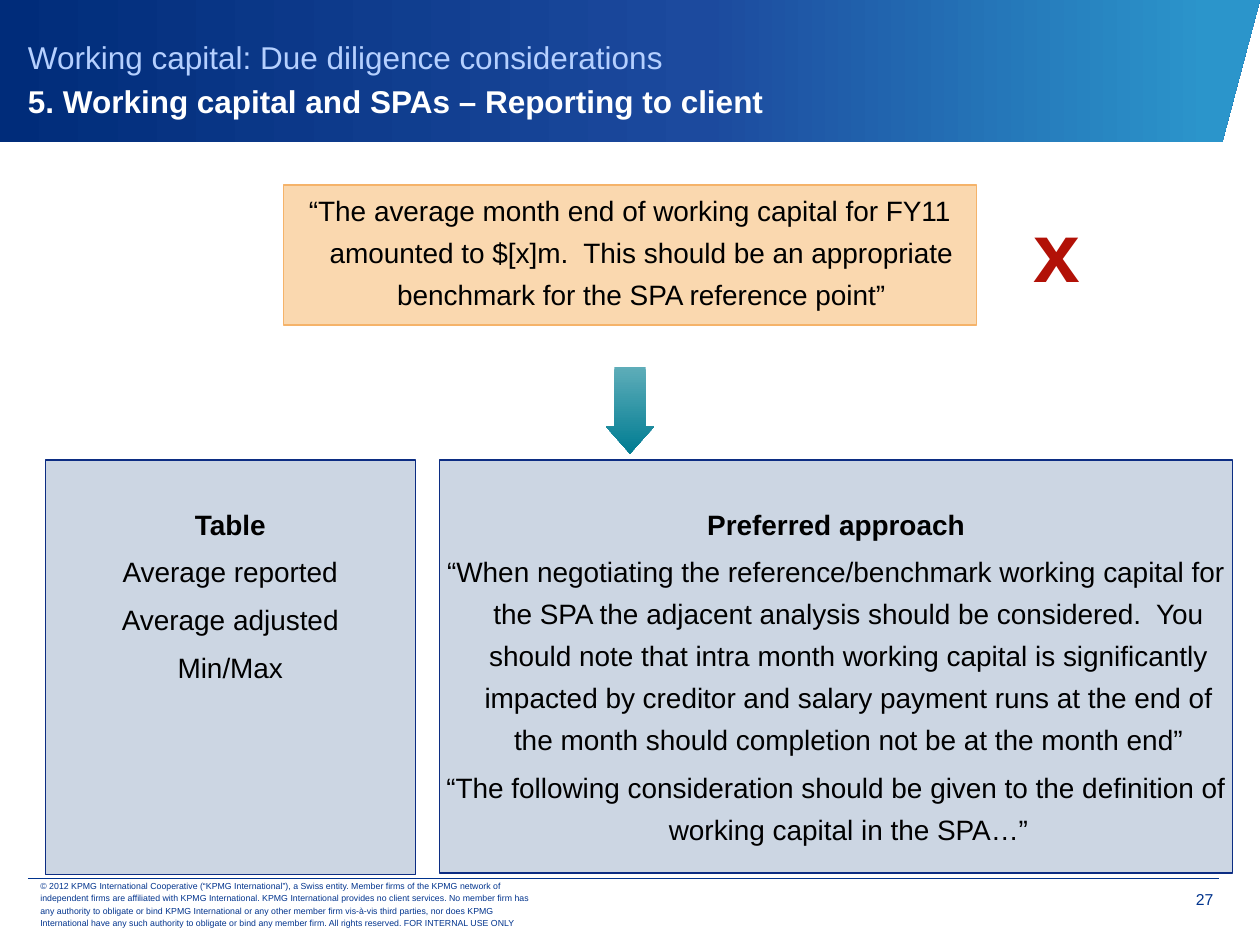
from lxml import etree
from pptx import Presentation
from pptx.dml.color import RGBColor
from pptx.enum.shapes import MSO_CONNECTOR, MSO_SHAPE
from pptx.enum.text import MSO_ANCHOR, MSO_AUTO_SIZE, PP_ALIGN
from pptx.oxml.ns import qn
from pptx.util import Pt

CENTER, RIGHT = PP_ALIGN.CENTER, PP_ALIGN.RIGHT
TOP, MIDDLE = MSO_ANCHOR.TOP, MSO_ANCHOR.MIDDLE
RECTANGLE, DOWN_ARROW = MSO_SHAPE.RECTANGLE, MSO_SHAPE.DOWN_ARROW
STRAIGHT, NO_AUTOFIT = MSO_CONNECTOR.STRAIGHT, MSO_AUTO_SIZE.NONE

FONT = "Arial"
COLORS = {
    "navy": "00338D", "bar_left": "002C7A", "bar_middle": "1C4A9E", "bar_right": "2B95CB",
    "subtitle": "B5D0FF", "white": "FFFFFF", "black": "000000", "cross": "B21107",
    "quote_fill": "FAD8AF", "quote_line": "F5B36A",
    "panel_fill": "CCD6E3", "panel_line": "0C2D83",
    "arrow_top": "5EADB9", "arrow_bottom": "007C92",
}
COPYRIGHT = (
    "© 2012 KPMG International Cooperative (“KPMG International”), a Swiss entity. "
    "Member firms of the KPMG network of independent firms are affiliated with KPMG "
    "International. KPMG International provides no client services. No member firm has any "
    "authority to obligate or bind KPMG International or any other member firm vis-à-vis third "
    "parties, nor does KPMG International have any such authority to obligate or bind any "
    "member firm. All rights reserved. FOR INTERNAL USE ONLY"
)
QUOTE = ("“The average month end of working capital for FY11 amounted to $[x]m.  "
         "This should be an appropriate benchmark for the SPA reference point”")
TABLE_LINES = ["Average reported", "Average adjusted", "Min/Max"]
APPROACH_LINES = [
    "“When negotiating the reference/benchmark working capital for the SPA the adjacent "
    "analysis should be considered.  You should note that intra month working capital is "
    "significantly impacted by creditor and salary payment runs at the end of the month "
    "should completion not be at the month end”",
    "“The following consideration should be given to the definition of working capital "
    "in the SPA…”",
]


def color(name):
    return RGBColor.from_string(COLORS[name])


def points(*values):
    return [Pt(value) for value in values]


def style_font(font, size, color_name, bold=False):
    font.name, font.size, font.bold = FONT, Pt(size), bold
    font.color.rgb = color(color_name)


def style_frame(text_frame, margins, anchor=TOP, wrap=True):
    text_frame.auto_size = NO_AUTOFIT
    text_frame.word_wrap = wrap
    text_frame.vertical_anchor = anchor
    (text_frame.margin_left, text_frame.margin_top,
     text_frame.margin_right, text_frame.margin_bottom) = points(*margins)


def style_box(shape, fill_name, line_name):
    shape.fill.solid()
    shape.fill.fore_color.rgb = color(fill_name)
    shape.line.color.rgb = color(line_name)
    shape.line.width = Pt(0.75)


def hang(paragraph, indent):
    """Centre a paragraph with a hanging indent and no bullet."""
    paragraph.alignment = CENTER
    paragraph.line_spacing = 1.25
    properties = paragraph._p.get_or_add_pPr()
    properties.set("marL", str(Pt(indent)))
    properties.set("indent", str(-Pt(indent)))
    etree.SubElement(properties, qn("a:buNone"))


def fill_gradient(shape, stops, angle):
    """Fill a shape with (percent, colour) stops; angle runs clockwise in degrees."""
    shape.shadow.inherit = False
    shape.line.fill.background()
    shape.fill.gradient()
    gradient = shape.element.spPr.find(qn("a:gradFill"))
    stop_list = gradient.find(qn("a:gsLst"))
    for stop in list(stop_list):
        stop_list.remove(stop)
    for percent, name in stops:
        stop = etree.SubElement(stop_list, qn("a:gs"), pos=str(percent * 1000))
        etree.SubElement(stop, qn("a:srgbClr"), val=COLORS[name])
    gradient.find(qn("a:lin")).set("ang", str(angle * 60000))


def add_label(slide, box, text, size, color_name, margins, anchor=TOP, wrap=True, bold=False):
    shape = slide.shapes.add_textbox(*points(*box))
    style_frame(shape.text_frame, margins, anchor, wrap)
    shape.text_frame.text = text
    paragraph = shape.text_frame.paragraphs[0]
    style_font(paragraph.runs[0].font, size, color_name, bold)
    return paragraph


def add_header(slide, box):
    left, top, width, height = box
    # Slanted bar, placed behind the title
    builder = slide.shapes.build_freeform(*points(left, top))
    builder.add_line_segments([points(left + width, top),
                               points(left + width - 21.6, top + height),
                               points(left, top + height)])
    bar = builder.convert_to_shape()
    fill_gradient(bar, [(0, "bar_left"), (56, "bar_middle"), (96, "bar_right")], 0)
    title = slide.shapes.title
    title.element.addprevious(bar.element)
    # Two-line title
    title.left, title.top, title.width, title.height = points(left + 16, top + 12.2, 673, 62.6)
    style_frame(title.text_frame, (0, 0, 0, 0), MIDDLE)
    title.text_frame.text = ("Working capital: Due diligence considerations\v"
                             "5. Working capital and SPAs – Reporting to client")
    paragraph = title.text_frame.paragraphs[0]
    paragraph.alignment = PP_ALIGN.LEFT
    paragraph.line_spacing = Pt(25)
    subtitle, heading = paragraph.runs
    style_font(subtitle.font, 18, "subtitle")
    style_font(heading.font, 18, "white", bold=True)


def add_quote(slide, box):
    body = slide.placeholders[1]
    body.left, body.top, body.width, body.height = points(*box)
    style_box(body, "quote_fill", "quote_line")
    style_frame(body.text_frame, (0, 0, 0, 0))
    body.text_frame.text = QUOTE
    paragraph = body.text_frame.paragraphs[0]
    paragraph.space_before, paragraph.space_after = points(0, 3)
    hang(paragraph, 13)
    style_font(paragraph.runs[0].font, 16, "black")


def add_arrow(slide, box):
    arrow = slide.shapes.add_shape(DOWN_ARROW, *points(*box))
    arrow.adjustments[0], arrow.adjustments[1] = 0.65, 0.56
    fill_gradient(arrow, [(0, "arrow_top"), (100, "arrow_bottom")], 90)


def add_panel(slide, box, heading, lines, side_margin):
    panel = slide.shapes.add_shape(RECTANGLE, *points(*box))
    panel.shadow.inherit = False
    style_box(panel, "panel_fill", "panel_line")
    text_frame = panel.text_frame
    style_frame(text_frame, (side_margin, 22.2, side_margin, 0))
    text_frame.text = "\n".join([heading, *lines])
    for index, paragraph in enumerate(text_frame.paragraphs):
        paragraph.space_before = Pt(3.2 if index else 0)
        hang(paragraph, 14.4)
        style_font(paragraph.runs[0].font, 16, "black", bold=index == 0)


def add_footer(slide, box):
    left, top, width, height = box
    rule = slide.shapes.add_connector(STRAIGHT, *points(left, top, left + width, top))
    rule.line.color.rgb = color("navy")
    rule.line.width = Pt(0.25)
    etree.SubElement(rule.element.spPr, qn("a:effectLst"))
    notice = add_label(slide, (left, top + 2, 299, height), COPYRIGHT, 5, "navy",
                       (7.2, 3.6, 7.2, 3.6), MIDDLE)
    notice.line_spacing = Pt(7)
    number = add_label(slide, (left + width - 42.6, top + 1, 39.6, 22), "27", 9, "navy",
                       (5.8, 5.8, 0, 0))
    number.alignment = RIGHT


def main():
    presentation = Presentation()
    presentation.slide_width, presentation.slide_height = points(720, 540)
    slide = presentation.slides.add_slide(presentation.slide_layouts[1])
    add_header(slide, (0, 0, 720, 81.4))
    add_footer(slide, (16, 501.8, 680.4, 25.2))
    add_quote(slide, (162, 105.8, 396, 80))
    # Cross beside the rejected wording
    add_label(slide, (586, 109.4, 35.3, 62.6), "x", 48, "cross", (4.3, 4.3, 4.3, 0),
              wrap=False, bold=True)
    add_panel(slide, (251.2, 262.9, 453, 236), "Preferred approach", APPROACH_LINES, 0)
    add_arrow(slide, (346.3, 209.6, 27.4, 49.6))
    add_panel(slide, (25.9, 262.9, 211.4, 237), "Table", TABLE_LINES, 7.2)
    presentation.save("out.pptx")


if __name__ == "__main__":
    main()
